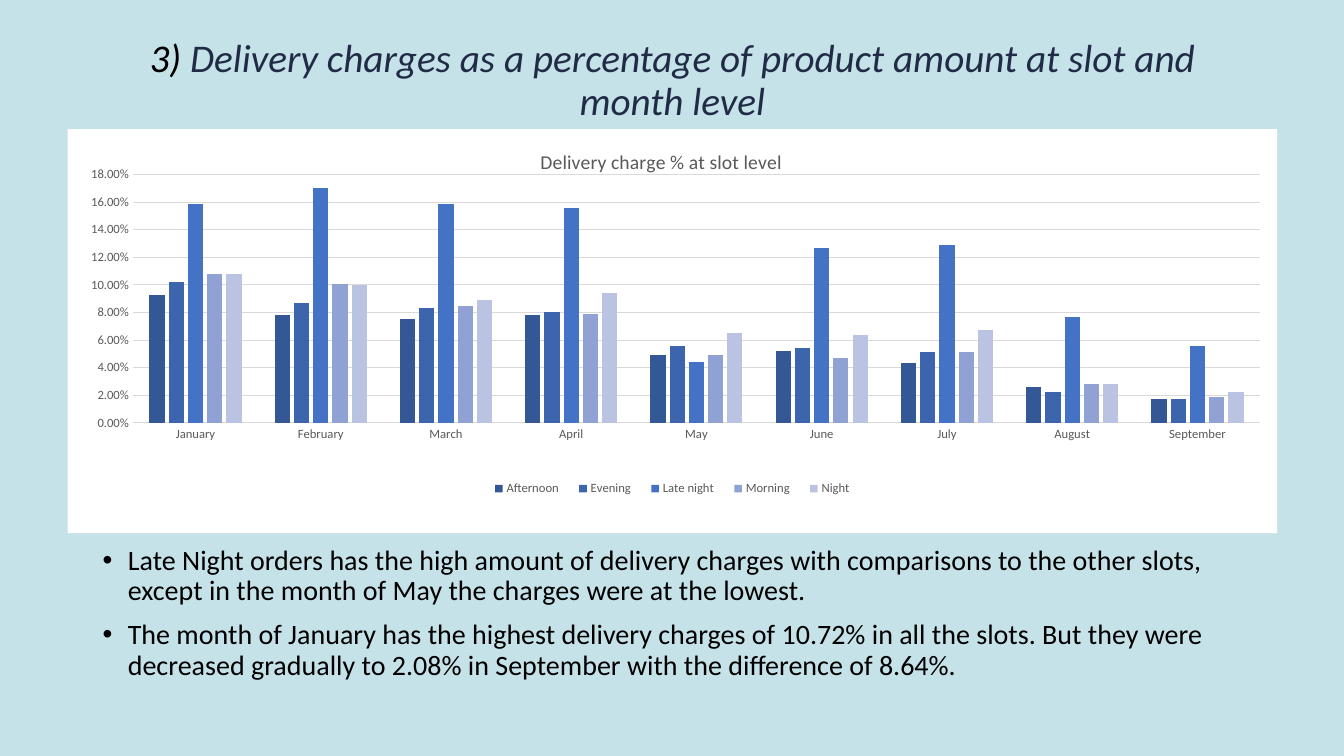
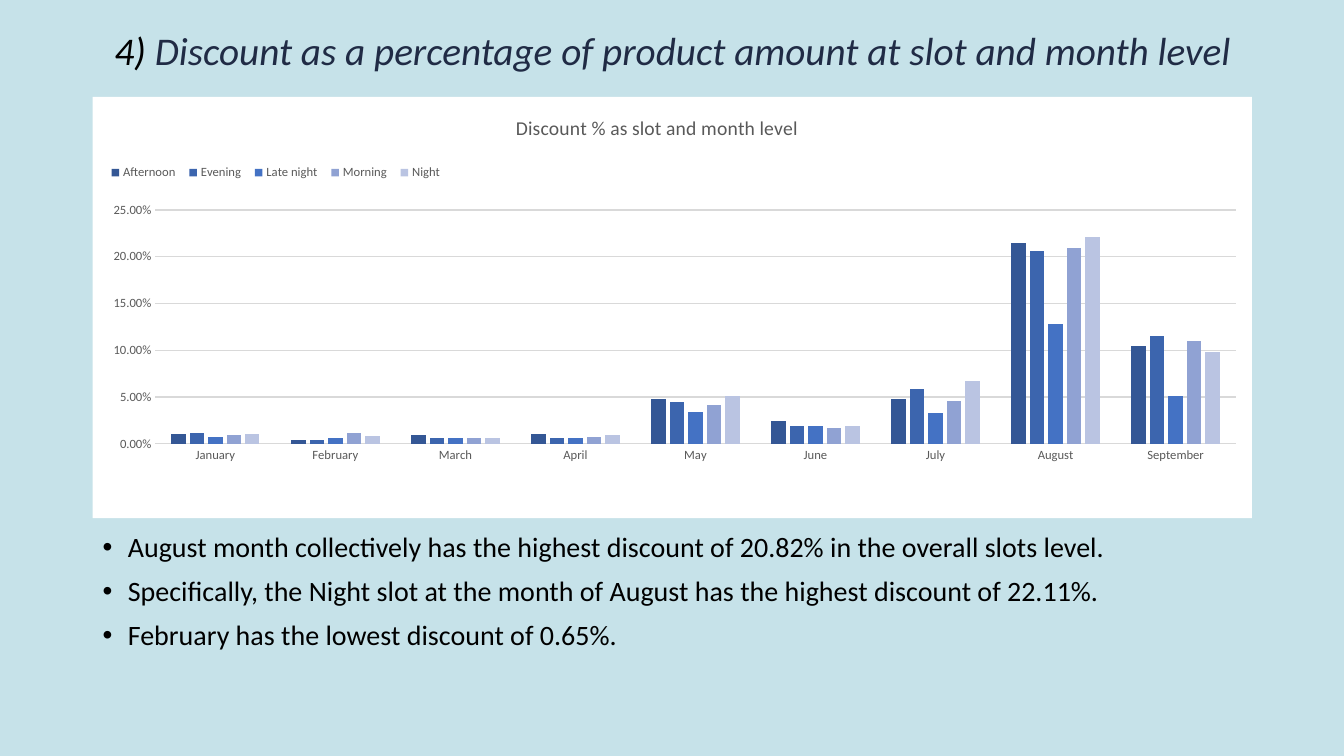
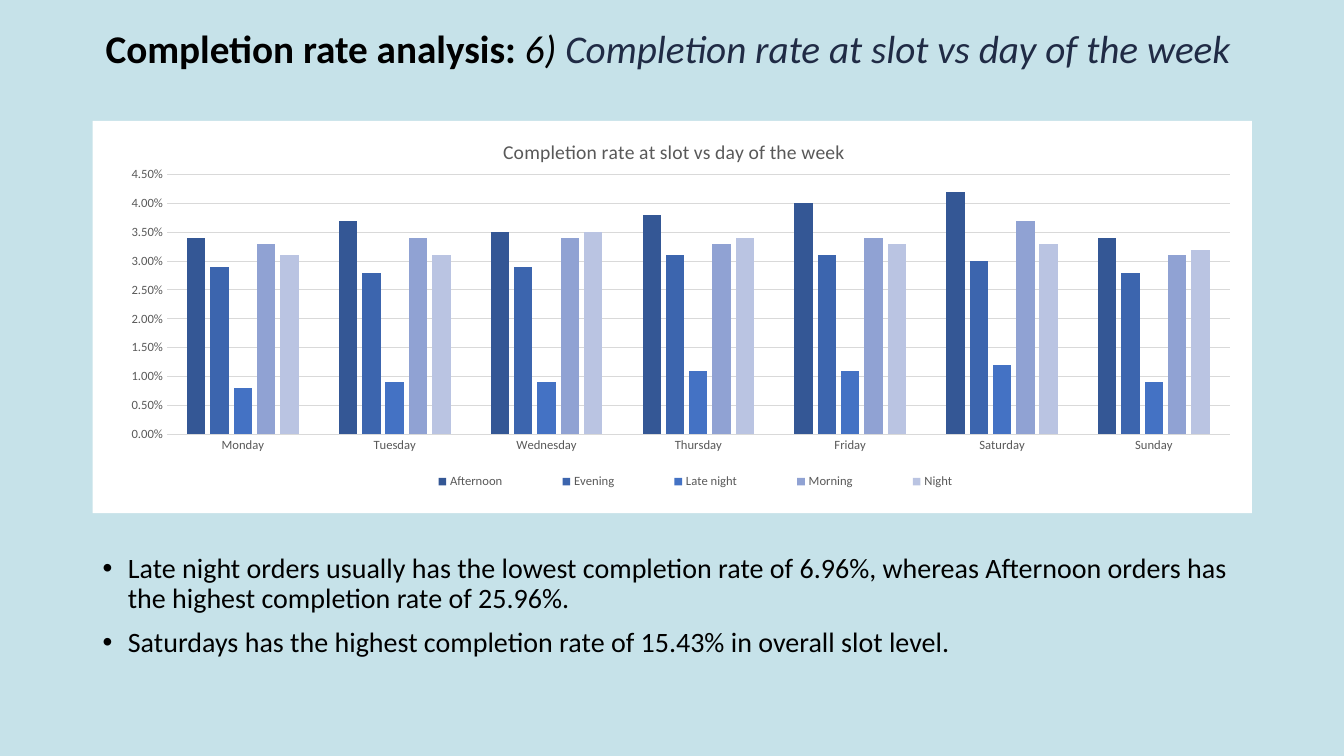
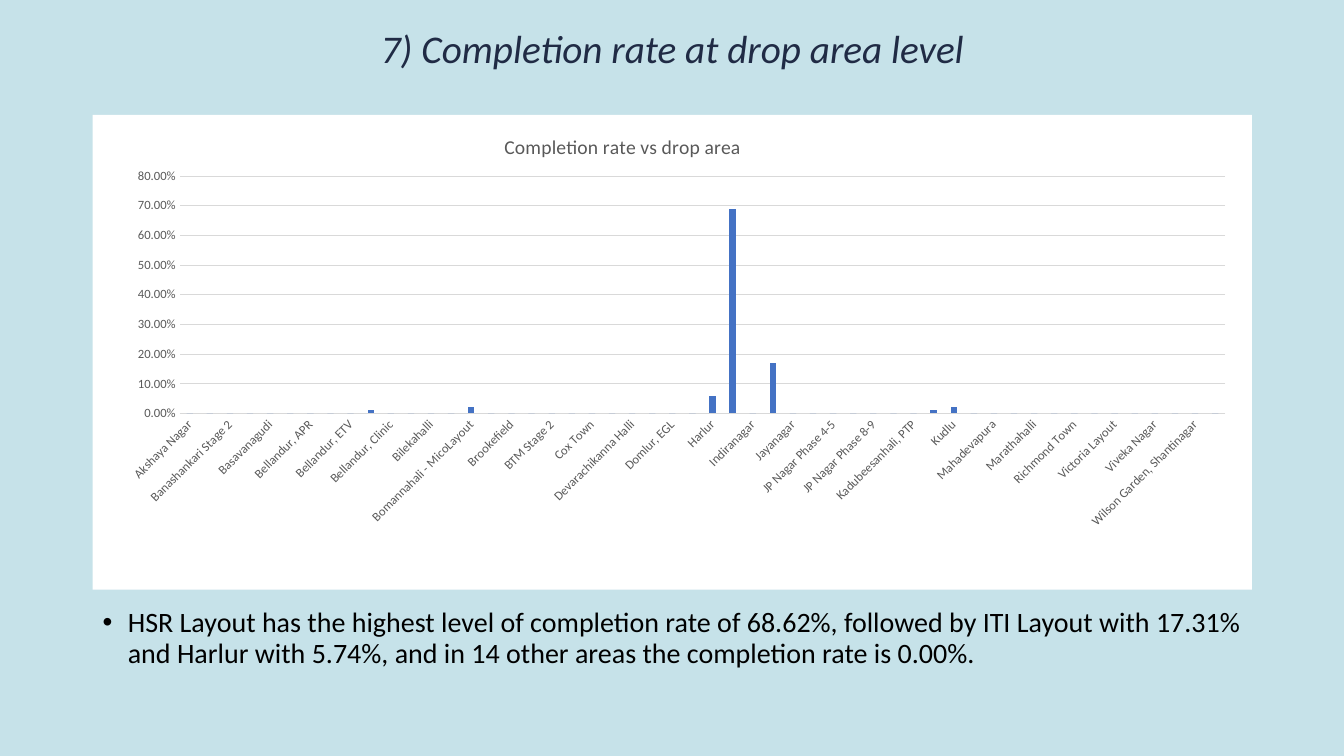
from dataclasses import dataclass
from typing import Optional

from lxml import etree
from pptx import Presentation
from pptx.chart.axis import CategoryAxis, ValueAxis
from pptx.chart.chart import Chart
from pptx.chart.data import CategoryChartData
from pptx.dml.color import RGBColor
from pptx.enum.chart import XL_CHART_TYPE, XL_LEGEND_POSITION, XL_TICK_MARK
from pptx.enum.text import MSO_ANCHOR, PP_ALIGN
from pptx.oxml import parse_xml
from pptx.oxml.ns import nsdecls, qn
from pptx.slide import Slide
from pptx.text.text import Font
from pptx.util import Inches, Pt

CLUSTERED = XL_CHART_TYPE.COLUMN_CLUSTERED
LEGEND_BOTTOM = XL_LEGEND_POSITION.BOTTOM
LEGEND_TOP = XL_LEGEND_POSITION.TOP
NO_TICK = XL_TICK_MARK.NONE
TOP, MIDDLE = MSO_ANCHOR.TOP, MSO_ANCHOR.MIDDLE
LEFT, CENTER = PP_ALIGN.LEFT, PP_ALIGN.CENTER

FONT = "Calibri"
PERCENT = "0.00%"
BACKGROUND = RGBColor(0xC6, 0xE2, 0xE9)
BLACK = RGBColor(0x00, 0x00, 0x00)
NAVY = RGBColor(0x20, 0x2B, 0x45)
GREY = RGBColor(0x59, 0x59, 0x59)
GRID = RGBColor(0xD9, 0xD9, 0xD9)
BLUE = RGBColor(0x44, 0x72, 0xC4)
SLOT_COLORS = {
    "Afternoon": RGBColor(0x34, 0x57, 0x95),
    "Evening": RGBColor(0x3C, 0x65, 0xAE),
    "Late night": BLUE,
    "Morning": RGBColor(0x90, 0xA2, 0xD3),
    "Night": RGBColor(0xBA, 0xC4, 0xE2),
}

MARGIN, CONTENT_WIDTH = 0.92, 11.5
MONTHS = ["January", "February", "March", "April", "May", "June", "July", "August", "September"]
DAYS = ["Monday", "Tuesday", "Wednesday", "Thursday", "Friday", "Saturday", "Sunday"]
AREAS = [
    "Akshaya Nagar", "Arekere", "Banashankari Stage 2", "Bannerghatta", "Basavanagudi",
    "Bellandur - Off Sarjapur Road", "Bellandur, APR", "Bellandur, Techpark", "Bellandur, ETV",
    "Bellandur, Green Glen", "Bellandur, Clinic", "Bellandur, Sarjapur Road", "Bilekahalli",
    "Binnipet", "Bomannahali - MicoLayout", "Bommanahalli", "Brookefield", "BTM Stage 1",
    "BTM Stage 2", "Challagatta", "Cox Town", "CV Raman Nagar", "Devarachikanna Halli",
    "Doddanekundi", "Domlur, EGL", "Frazer Town", "Harlur", "HSR Layout", "Indiranagar",
    "ITI Layout", "Jayanagar", "JP Nagar Phase 1-3", "JP Nagar Phase 4-5", "JP Nagar Phase 6-7",
    "JP Nagar Phase 8-9", "Kadubeesanhali, Premiere", "Kadubeesanhali, PTP",
    "Koramangala, Ejipura", "Kudlu", "Kumaraswamy Layout", "Mahadevapura", "Manipal County",
    "Marathahalli", "Pattandur", "Richmond Town", "Sarjapur Road", "Victoria Layout",
    "Vimanapura", "Viveka Nagar", "Whitefield", "Wilson Garden, Shantinagar", "Yemalur",
]
AREA_RATES = {
    "Bellandur, Green Glen": 0.01, "Bomannahali - MicoLayout": 0.02, "Harlur": 0.06,
    "HSR Layout": 0.69, "ITI Layout": 0.17, "Koramangala, Ejipura": 0.01, "Kudlu": 0.02,
}

Box = tuple[float, float, float, float]


@dataclass(frozen=True)
class TextRun:
    text: str
    color: RGBColor = BLACK
    bold: bool = False
    italic: bool = False


@dataclass(frozen=True)
class Legend:
    position: XL_LEGEND_POSITION
    box: Box


@dataclass(frozen=True)
class ChartSpec:
    box: Box
    title: str
    title_at: tuple[float, float]
    plot_box: Box
    categories: list[str]
    series: dict[str, list[float]]
    maximum: float
    step: float
    legend: Optional[Legend] = None
    label_rotation: int = 0


@dataclass(frozen=True)
class SlideSpec:
    heading_top: float
    heading_height: float
    heading: list[TextRun]
    bullets_top: float
    bullets_height: float
    bullets: list[str]
    chart: ChartSpec


def by_slot(*rows: list[float]) -> dict[str, list[float]]:
    return dict(zip(SLOT_COLORS, rows))


def numbered(number: str, text: str) -> list[TextRun]:
    return [TextRun(f"{number}) ", italic=True), TextRun(text, NAVY, italic=True)]


SLIDES = [
    SlideSpec(
        0.11, 1.39,
        numbered("3", "Delivery charges as a percentage of product amount at slot and month level"),
        5.37, 1.79,
        [
            "Late Night orders has the high amount of delivery charges with comparisons to the "
            "other slots, except in the month of May the charges were at the lowest.",
            "The month of January has the highest delivery charges of 10.72% in all the slots. "
            "But they were decreased gradually to 2.08% in September with the difference of 8.64%.",
        ],
        ChartSpec(
            (0.67, 1.28, 12, 4.01), "Delivery charge % at slot level", (0.388, 0.04),
            (0.054, 0.113, 0.932, 0.614), MONTHS,
            by_slot(
                [0.093, 0.078, 0.075, 0.078, 0.049, 0.052, 0.043, 0.026, 0.017],
                [0.102, 0.087, 0.083, 0.08, 0.056, 0.054, 0.051, 0.022, 0.017],
                [0.159, 0.17, 0.159, 0.156, 0.044, 0.127, 0.129, 0.077, 0.056],
                [0.108, 0.101, 0.085, 0.079, 0.049, 0.047, 0.051, 0.028, 0.019],
                [0.108, 0.1, 0.089, 0.094, 0.065, 0.064, 0.067, 0.028, 0.022],
            ),
            0.18, 0.02, Legend(LEGEND_BOTTOM, (0.34, 0.86, 0.32, 0.06)),
        ),
    ),
    SlideSpec(
        0.09, 0.86,
        numbered("4", "Discount as a percentage of product amount at slot and month level"),
        5.24, 1.54,
        [
            "August month collectively has the highest discount of 20.82% in the overall slots level.",
            "Specifically, the Night slot at the month of August has the highest discount of 22.11%.",
            "February has the lowest discount of 0.65%.",
        ],
        ChartSpec(
            (MARGIN, 0.96, CONTENT_WIDTH, 4.18), "Discount % as slot and month level",
            (0.362, 0.033), (0.054, 0.269, 0.932, 0.555), MONTHS,
            by_slot(
                [0.01, 0.004, 0.009, 0.01, 0.048, 0.024, 0.048, 0.215, 0.105],
                [0.012, 0.004, 0.006, 0.006, 0.045, 0.019, 0.059, 0.206, 0.115],
                [0.007, 0.006, 0.006, 0.006, 0.034, 0.019, 0.033, 0.128, 0.051],
                [0.009, 0.011, 0.006, 0.007, 0.041, 0.017, 0.046, 0.209, 0.11],
                [0.01, 0.008, 0.006, 0.009, 0.051, 0.019, 0.067, 0.221, 0.098],
            ),
            0.25, 0.05, Legend(LEGEND_TOP, (0.008, 0.15, 0.3, 0.06)),
        ),
    ),
    SlideSpec(
        0, 1.01,
        [
            TextRun("Completion rate analysis: ", bold=True),
            *numbered("6", "Completion rate at slot vs day of the week "),
        ],
        5.45, 1.3,
        [
            "Late night orders usually has the lowest completion rate of 6.96%, whereas Afternoon "
            "orders has the highest completion rate of 25.96%.",
            "Saturdays has the highest completion rate of 15.43% in overall slot level.",
        ],
        ChartSpec(
            (MARGIN, 1.2, CONTENT_WIDTH, 3.89), "Completion rate at slot vs day of the week",
            (0.351, 0.035), (0.064, 0.137, 0.917, 0.662), DAYS,
            by_slot(
                [0.034, 0.037, 0.035, 0.038, 0.04, 0.042, 0.034],
                [0.029, 0.028, 0.029, 0.031, 0.031, 0.03, 0.028],
                [0.008, 0.009, 0.009, 0.011, 0.011, 0.012, 0.009],
                [0.033, 0.034, 0.034, 0.033, 0.034, 0.037, 0.031],
                [0.031, 0.031, 0.035, 0.034, 0.033, 0.033, 0.032],
            ),
            0.045, 0.005, Legend(LEGEND_BOTTOM, (0.25, 0.885, 0.54, 0.07)),
        ),
    ),
    SlideSpec(
        0, 1,
        [TextRun("7) Completion rate at drop area level", NAVY, italic=True)],
        5.99, 1,
        [
            "HSR Layout has the highest level of completion rate of 68.62%, followed by ITI Layout "
            "with 17.31% and Harlur with 5.74%, and in 14 other areas the completion rate is 0.00%.",
        ],
        ChartSpec(
            (MARGIN, 1.14, CONTENT_WIDTH, 4.71), "Completion rate vs drop area", (0.352, 0.032),
            (0.075, 0.129, 0.902, 0.5), AREAS,
            {"Series 1": [AREA_RATES.get(area, 0) for area in AREAS]},
            0.8, 0.1, label_rotation=-45,
        ),
    ),
]


def format_font(font: Font, size: float, color: RGBColor, bold: bool = False,
                italic: bool = False) -> None:
    font.name, font.size, font.bold, font.italic = FONT, Pt(size), bold, italic
    font.color.rgb = color


def add_text(slide: Slide, box: Box, paragraphs: list[list[TextRun]], *, size: float,
             alignment: PP_ALIGN = LEFT, anchor: MSO_ANCHOR = TOP, space_before: float = 0,
             bulleted: bool = False) -> None:
    frame = slide.shapes.add_textbox(*map(Inches, box)).text_frame
    frame.word_wrap = True
    frame.vertical_anchor = anchor
    for index, runs in enumerate(paragraphs):
        paragraph = frame.add_paragraph() if index else frame.paragraphs[0]
        paragraph.alignment = alignment
        paragraph.line_spacing = 0.9
        paragraph.space_before = Pt(space_before)
        if bulleted:
            properties = paragraph._p.get_or_add_pPr()
            properties.set("marL", str(Inches(0.25)))
            properties.set("indent", str(-Inches(0.25)))
            etree.SubElement(properties, qn("a:buFont")).set("typeface", "Arial")
            etree.SubElement(properties, qn("a:buChar")).set("char", "•")
        for item in runs:
            run = paragraph.add_run()
            run.text = item.text
            format_font(run.font, size, item.color, item.bold, item.italic)


def set_layout(parent: etree._Element, index: int, box: tuple[float, ...],
               inner: bool = False) -> None:
    layout = parent.find(qn("c:layout"))
    if layout is not None:
        parent.remove(layout)
    layout = etree.Element(qn("c:layout"))
    parent.insert(index, layout)
    manual = etree.SubElement(layout, qn("c:manualLayout"))
    settings = {"layoutTarget": "inner"} if inner else {}
    settings.update(xMode="edge", yMode="edge")
    settings.update(zip("xywh", map(str, box)))
    for name, value in settings.items():
        etree.SubElement(manual, qn(f"c:{name}")).set("val", value)


def style_axis(axis: CategoryAxis | ValueAxis) -> None:
    axis.major_tick_mark = axis.minor_tick_mark = NO_TICK
    format_font(axis.tick_labels.font, 9, GREY)


def style_axes(chart: Chart, spec: ChartSpec) -> None:
    categories, values = chart.category_axis, chart.value_axis
    style_axis(categories)
    style_axis(values)
    categories.format.line.color.rgb = GRID
    categories.format.line.width = Pt(0.75)
    if spec.label_rotation:
        body = chart.element.find(f".//{qn('c:catAx')}/{qn('c:txPr')}/{qn('a:bodyPr')}")
        body.set("rot", str(spec.label_rotation * 60000))
    values.format.line.fill.background()
    values.minimum_scale, values.maximum_scale = 0, spec.maximum
    values.major_unit = spec.step
    values.tick_labels.number_format = PERCENT
    values.tick_labels.number_format_is_linked = False
    grid = values.major_gridlines.format.line
    grid.color.rgb = GRID
    grid.width = Pt(0.75)


def add_column_chart(slide: Slide, spec: ChartSpec) -> None:
    data = CategoryChartData(number_format=PERCENT)
    data.categories = spec.categories
    for name, values in spec.series.items():
        data.add_series(name, values)
    chart = slide.shapes.add_chart(CLUSTERED, *map(Inches, spec.box), data).chart
    format_font(chart.font, 10, BLACK)
    chart.element.find(qn("c:chart")).addnext(parse_xml(
        f'<c:spPr {nsdecls("c", "a")}><a:solidFill><a:srgbClr val="FFFFFF"/></a:solidFill>'
        "<a:ln><a:noFill/></a:ln></c:spPr>"))

    chart.has_title = True
    title = chart.chart_title
    title.text_frame.text = spec.title
    format_font(title.text_frame.paragraphs[0].runs[0].font, 14, GREY)
    set_layout(chart.element.find(f".//{qn('c:title')}"), 1, spec.title_at)
    set_layout(chart.element.find(f".//{qn('c:plotArea')}"), 0, spec.plot_box, inner=True)

    style_axes(chart, spec)
    plot = chart.plots[0]
    plot.gap_width, plot.overlap, plot.vary_by_categories = 219, -27, False
    for series in plot.series:
        series.format.fill.solid()
        series.format.fill.fore_color.rgb = SLOT_COLORS.get(series.name, BLUE)
        series.invert_if_negative = False

    chart.has_legend = spec.legend is not None
    if spec.legend:
        chart.legend.position = spec.legend.position
        chart.legend.include_in_layout = False
        format_font(chart.legend.font, 9, GREY)
        set_layout(chart.element.find(f".//{qn('c:legend')}"), 1, spec.legend.box)


def add_analysis_slide(presentation: Presentation, spec: SlideSpec) -> None:
    slide = presentation.slides.add_slide(presentation.slide_layouts[6])
    add_text(slide, (MARGIN, spec.heading_top, CONTENT_WIDTH, spec.heading_height),
             [spec.heading], size=28, alignment=CENTER, anchor=MIDDLE)
    add_text(slide, (MARGIN, spec.bullets_top, CONTENT_WIDTH, spec.bullets_height),
             [[TextRun(text)] for text in spec.bullets], size=20, space_before=10, bulleted=True)
    add_column_chart(slide, spec.chart)


def main() -> None:
    presentation = Presentation()
    presentation.slide_width, presentation.slide_height = Inches(40 / 3), Inches(7.5)
    fill = presentation.slide_master.background.fill
    fill.solid()
    fill.fore_color.rgb = BACKGROUND
    for spec in SLIDES:
        add_analysis_slide(presentation, spec)
    presentation.save("out.pptx")


if __name__ == "__main__":
    main()
